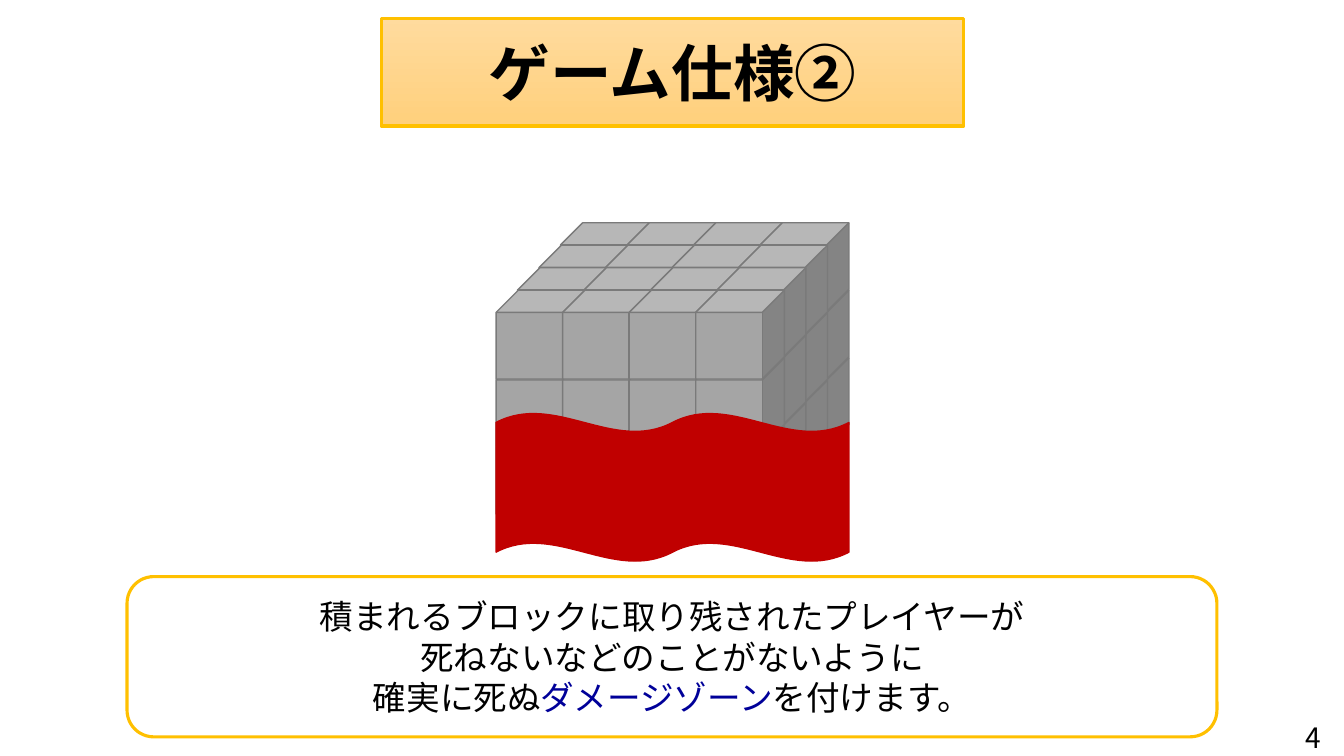
from dataclasses import dataclass
from itertools import product

from lxml import etree
from pptx import Presentation
from pptx.dml.color import RGBColor
from pptx.enum.shapes import MSO_SHAPE
from pptx.enum.text import MSO_ANCHOR, MSO_AUTO_SIZE, PP_ALIGN
from pptx.oxml.ns import qn
from pptx.util import Inches, Pt

CUBE = MSO_SHAPE.CUBE
WAVE = MSO_SHAPE.DOUBLE_WAVE
ROUND_RECT = MSO_SHAPE.ROUNDED_RECTANGLE
MIDDLE = MSO_ANCHOR.MIDDLE
NO_AUTOFIT = MSO_AUTO_SIZE.NONE
CENTER = PP_ALIGN.CENTER


@dataclass(frozen=True)
class Theme:
    """Colours, font and type sizes of the slide."""
    font: str = "Noto Sans CJK JP"
    text: str = "000000"
    accent: str = "000099"
    frame: str = "FFC000"
    title_top: str = "FFDB9E"
    title_bottom: str = "FFD07C"
    paper: str = "FFFFFF"
    block: str = "A5A5A5"
    block_edge: str = "7A7A7A"
    damage: str = "C00000"
    title_size: int = 44
    body_size: int = 24
    number_size: int = 20
    frame_width: float = 2.25


THEME = Theme()


def rgb(value):
    """Return the colour for a hex string."""
    return RGBColor.from_string(value)


def add_run(p, text, size, color=THEME.text, bold=False):
    """Add one run, with the font set for Latin and Japanese text."""
    r = p.add_run()
    r.text = text
    r.font.name = THEME.font
    r.font.size = Pt(size)
    r.font.bold = bold
    r.font.color.rgb = rgb(color)
    ea = etree.SubElement(r.font._element, qn("a:ea"))
    ea.set("typeface", THEME.font)


def set_line(sp, color, width):
    """Give a shape a solid outline."""
    sp.line.color.rgb = rgb(color)
    sp.line.width = Pt(width)


def add_solid(s, kind, box, fill, line, width=1):
    """Add a preset shape with a plain fill and outline."""
    sp = s.shapes.add_shape(kind, *(Inches(v) for v in box))
    sp.shadow.inherit = False
    sp.fill.solid()
    sp.fill.fore_color.rgb = rgb(fill)
    set_line(sp, line, width)
    return sp


def add_title(s, box, text):
    """Place the title placeholder as a rounded gradient banner."""
    sp = s.shapes.title
    sp.left, sp.top, sp.width, sp.height = (Inches(v) for v in box)
    geom = etree.Element(qn("a:prstGeom"), prst="roundRect")
    etree.SubElement(geom, qn("a:avLst"))
    sp._element.spPr.insert(1, geom)
    sp.fill.gradient()
    sp.fill.gradient_angle = 270
    for stop, color in zip(sp.fill.gradient_stops, (THEME.title_top, THEME.title_bottom)):
        stop.color.rgb = rgb(color)
    set_line(sp, THEME.frame, THEME.frame_width)
    tf = sp.text_frame
    tf.word_wrap = True
    tf.auto_size = NO_AUTOFIT
    tf.vertical_anchor = MIDDLE
    p = tf.paragraphs[0]
    p.alignment = CENTER
    add_run(p, text, THEME.title_size, bold=True)


def add_blocks(s, box, columns=4, rows=4, levels=3):
    """Stack cubes in the box from bottom to top, back to front, left to right."""
    left, top, width, height = box
    size, across, up = 0.88, 0.66, 0.67
    back_x = (width - size - across * (columns - 1)) / (rows - 1)
    back_y = (height - size - up * (levels - 1)) / (rows - 1)
    for level, row, column in product(range(levels), range(rows), range(columns)):
        x = left + back_x * (rows - 1 - row) + across * column
        y = top + back_y * row + up * (levels - 1 - level)
        add_solid(s, CUBE, (x, y, size, size), THEME.block, THEME.block_edge)


def add_caption(s, box, lines):
    """Add the framed caption; each line is a list of text and colour pairs."""
    sp = add_solid(s, ROUND_RECT, box, THEME.paper, THEME.frame, THEME.frame_width)
    color = sp._element.spPr.find(qn("a:solidFill"))[0]
    etree.SubElement(color, qn("a:alpha")).set("val", "65000")
    tf = sp.text_frame
    tf.word_wrap = True
    tf.vertical_anchor = MIDDLE
    for i, line in enumerate(lines):
        p = tf.add_paragraph() if i else tf.paragraphs[0]
        p.alignment = CENTER
        for text, tone in line:
            add_run(p, text, THEME.body_size, tone)


def add_page_number(s, box, text):
    """Add the page number in the corner."""
    tf = s.shapes.add_textbox(*(Inches(v) for v in box)).text_frame
    tf.word_wrap = True
    p = tf.paragraphs[0]
    p.alignment = CENTER
    add_run(p, text, THEME.number_size)


def main():
    """Build the slide and save it."""
    prs = Presentation()
    prs.slide_width, prs.slide_height = Inches(13.33), Inches(7.5)
    s = prs.slides.add_slide(prs.slide_layouts[5])
    add_title(s, (3.78, 0.18, 5.78, 1.07), "ゲーム仕様②")
    add_blocks(s, (4.92, 2.21, 3.5, 2.89))
    add_solid(s, WAVE, (4.92, 4.1, 3.5, 1.47), THEME.damage, THEME.damage)
    add_page_number(s, (12.73, 7.1, 0.6, 0.44), "4")
    add_caption(s, (1.26, 5.72, 10.81, 1.59), [
        [("積まれるブロックに取り残されたプレイヤーが", THEME.text)],
        [("死ねないなどのことがないように", THEME.text)],
        [("確実に死ぬ", THEME.text), ("ダメージゾーン", THEME.accent),
         ("を付けます。", THEME.text)],
    ])
    prs.save("out.pptx")


if __name__ == "__main__":
    main()
